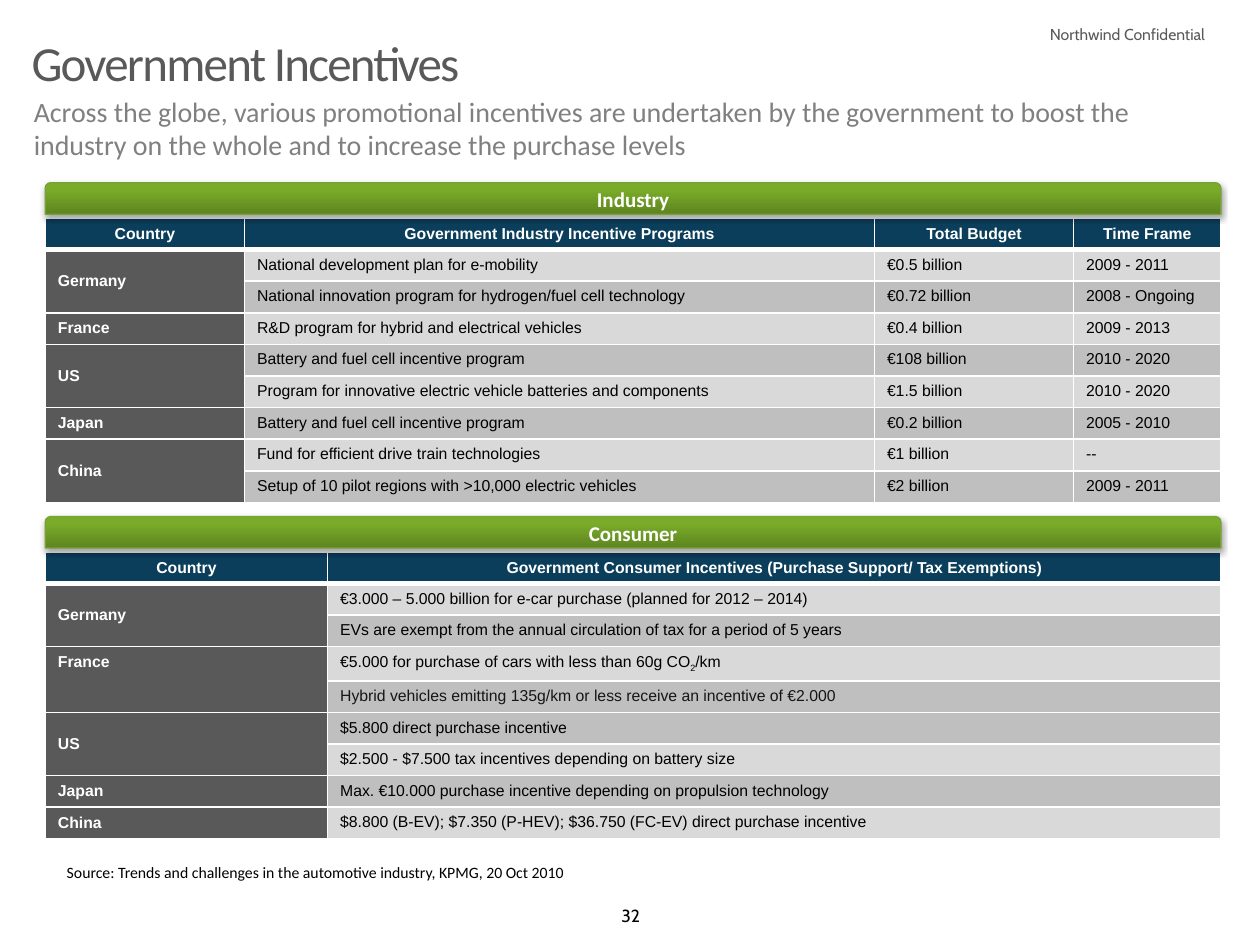
"""Build the slide on government incentives for electric vehicles."""
from dataclasses import dataclass
from typing import Optional

from pptx import Presentation
from pptx.dml.color import RGBColor
from pptx.enum.shapes import MSO_SHAPE
from pptx.enum.text import MSO_ANCHOR, PP_ALIGN
from pptx.oxml import parse_xml
from pptx.oxml.ns import nsdecls, qn
from pptx.util import Inches, Pt

WHITE, BLACK = "FFFFFF", "000000"
NAVY, CHARCOAL = "0B3E5B", "595959"
LIGHT, DARK = "D9D9D9", "BFBFBF"
GREEN_STOPS = ((0, "5E8520"), (80, "7AAC29"), (100, "7BAF27"))
DARK_FIRST = {"US", "Japan"}
TOP_LABELS = {"France", "Japan"}
HYBRID = "Hybrid vehicles emitting 135g/km or less receive an incentive of €2.000"
TEXT_COLORS = {HYBRID: "161616"}
LEFT, WIDTH, ROW_HEIGHT = 0.36, 9.33, 0.25


@dataclass
class Country:
    name: str
    programs: list[tuple[str, ...]]


@dataclass
class Section:
    title: str
    top: float
    widths: tuple[float, ...]
    headings: tuple[str, ...]
    countries: list[Country]


SECTIONS = [
    Section(
        "Industry", 1.45, (1.58, 5, 1.58, 1.17),
        ("Country", "Government Industry Incentive Programs", "Total Budget", "Time Frame"),
        [
            Country("Germany", [
                ("National development plan for e-mobility", "€0.5 billion", "2009 - 2011"),
                ("National innovation program for hydrogen/fuel cell technology",
                 "€0.72 billion", "2008 - Ongoing"),
            ]),
            Country("France", [
                ("R&D program for hybrid and electrical vehicles", "€0.4 billion", "2009 - 2013"),
            ]),
            Country("US", [
                ("Battery and fuel cell incentive program", "€108 billion", "2010 - 2020"),
                ("Program for innovative electric vehicle batteries and components",
                 "€1.5 billion", "2010 - 2020"),
            ]),
            Country("Japan", [
                ("Battery and fuel cell incentive program", "€0.2 billion", "2005 - 2010"),
            ]),
            Country("China", [
                ("Fund for efficient drive train technologies", "€1 billion", "--"),
                ("Setup of 10 pilot regions with >10,000 electric vehicles",
                 "€2 billion", "2009 - 2011"),
            ]),
        ],
    ),
    Section(
        "Consumer", 4.1, (2.24, 7.09),
        ("Country", "Government Consumer Incentives (Purchase Support/ Tax Exemptions)"),
        [
            Country("Germany", [
                ("€3.000 – 5.000 billion for e-car purchase (planned for 2012 – 2014)",),
                ("EVs are exempt from the annual circulation of tax for a period of 5 years",),
            ]),
            Country("France", [
                ("€5.000 for purchase of cars with less than 60g CO_2_/km",),
                (HYBRID,),
            ]),
            Country("US", [
                ("$5.800 direct purchase incentive",),
                ("$2.500 - $7.500 tax incentives depending on battery size",),
            ]),
            Country("Japan", [
                ("Max. €10.000 purchase incentive depending on propulsion technology",),
            ]),
            Country("China", [
                ("$8.800 (B-EV); $7.350 (P-HEV); $36.750 (FC-EV) direct purchase incentive",),
            ]),
        ],
    ),
]


def rgb(value: str) -> RGBColor:
    """Turn a hex string into a colour."""
    return RGBColor.from_string(value)


def write(frame, text: str, *, size: float = 9, font: str = "Calibri", color: str = BLACK,
          bold: bool = False, align: PP_ALIGN = PP_ALIGN.LEFT,
          line_spacing: Optional[float] = None, tracking: Optional[int] = None) -> None:
    """Write one paragraph, setting any part between underscores as a subscript."""
    para = frame.paragraphs[0]
    para.alignment = align
    if line_spacing:
        para.line_spacing = line_spacing
    for index, part in enumerate(text.split("_")):
        span = para.add_run()
        span.text = part
        span.font.size, span.font.name, span.font.bold = Pt(size), font, bold
        span.font.color.rgb = rgb(color)
        properties = span.font._element
        if index % 2:
            properties.set("baseline", "-25000")
        if tracking is not None:
            properties.set("spc", str(tracking))


def remove_margins(frame) -> None:
    """Set all four insets of a text frame to zero."""
    frame.margin_left = frame.margin_right = frame.margin_top = frame.margin_bottom = 0


def add_text(page, left: float, top: float, width: float, height: float, text: str,
             **text_format):
    """Add a wrapped text box and return its text frame."""
    box = page.shapes.add_textbox(Inches(left), Inches(top), Inches(width), Inches(height))
    box.text_frame.word_wrap = True
    write(box.text_frame, text, **text_format)
    return box.text_frame


def add_banner(page, title: str, top: float) -> None:
    """Add a green gradient banner with a soft shadow."""
    banner = page.shapes.add_shape(MSO_SHAPE.ROUND_2_SAME_RECTANGLE, Inches(LEFT), Inches(top),
                                   Inches(WIDTH), Inches(0.25))
    banner.fill.gradient()
    banner.fill.gradient_angle = 90
    properties = banner._element.spPr
    stops = properties.find(qn("a:gradFill")).find(qn("a:gsLst"))
    for stop in list(stops):
        stops.remove(stop)
    for position, color in GREEN_STOPS:
        stops.append(parse_xml(f'<a:gs {nsdecls("a")} pos="{position * 1000}">'
                               f'<a:srgbClr val="{color}"/></a:gs>'))
    banner.line.color.rgb, banner.line.width = rgb("78A136"), Pt(0.75)
    properties.append(parse_xml(
        f'<a:effectLst {nsdecls("a")}><a:outerShdw blurRad="40000" dist="23000" dir="5400000" '
        'rotWithShape="0"><a:srgbClr val="000000"><a:alpha val="35000"/></a:srgbClr>'
        '</a:outerShdw></a:effectLst>'))
    banner.text_frame.vertical_anchor = MSO_ANCHOR.MIDDLE
    write(banner.text_frame, title, size=12, color=WHITE, bold=True, align=PP_ALIGN.CENTER)


def fill_cell(cell, text: str, fill: str, *, bottom: int = 1,
              anchor: MSO_ANCHOR = MSO_ANCHOR.TOP, **text_format) -> None:
    """Give a cell white borders, a fill and its text."""
    properties = cell._tc.get_or_add_tcPr()
    for side, points in (("L", 1), ("R", 1), ("T", 1), ("B", bottom)):
        properties.append(parse_xml(
            f'<a:ln{side} {nsdecls("a")} w="{Pt(points)}"><a:solidFill>'
            f'<a:srgbClr val="{WHITE}"/></a:solidFill></a:ln{side}>'))
    cell.fill.solid()
    cell.fill.fore_color.rgb = rgb(fill)
    cell.vertical_anchor = anchor
    write(cell.text_frame, text, font="Arial", **text_format)


def add_section(page, section: Section) -> None:
    """Add a banner and the incentive table below it."""
    row_count = 1 + sum(len(country.programs) for country in section.countries)
    table = page.shapes.add_table(row_count, len(section.widths), Inches(LEFT),
                                  Inches(section.top + 0.28), Inches(WIDTH),
                                  Inches(row_count * ROW_HEIGHT)).table
    table.first_row = table.horz_banding = False
    for column, width in zip(table.columns, section.widths):
        column.width = Inches(width)
    for column, heading in enumerate(section.headings):
        fill_cell(table.cell(0, column), heading, NAVY, bottom=3, anchor=MSO_ANCHOR.MIDDLE,
                  color=WHITE, bold=True, align=PP_ALIGN.CENTER)
    row = 1
    for country in section.countries:
        first_row = row
        anchor = MSO_ANCHOR.TOP if country.name in TOP_LABELS else MSO_ANCHOR.MIDDLE
        for index, program in enumerate(country.programs):
            fill_cell(table.cell(row, 0), "" if index else country.name, CHARCOAL,
                      anchor=anchor, color=WHITE, bold=True)
            shade = DARK if (index % 2 == 1) != (country.name in DARK_FIRST) else LIGHT
            for column, text in enumerate(program, start=1):
                fill_cell(table.cell(row, column), text, shade,
                          color=TEXT_COLORS.get(text, BLACK))
            row += 1
        if row - first_row > 1:
            table.cell(first_row, 0).merge(table.cell(row - 1, 0))
    add_banner(page, section.title, section.top)


def main() -> None:
    """Build and save the deck."""
    deck = Presentation()
    deck.slide_width, deck.slide_height = Inches(10), Inches(7.5)
    page = deck.slides.add_slide(deck.slide_layouts[5])
    title = page.shapes.title
    title.left, title.top, title.width, title.height = map(Inches, (0.25, 0.31, 9.5, 0.33))
    title.text_frame.vertical_anchor = MSO_ANCHOR.TOP
    remove_margins(title.text_frame)
    write(title.text_frame, "Government Incentives", size=28, color=CHARCOAL,
          line_spacing=0.9, tracking=-100)
    add_text(page, 0.17, 0.7, 9.5, 0.64,
             "Across the globe, various promotional incentives are undertaken by the government "
             "to boost the industry on the whole and to increase the purchase levels",
             size=16, color="808080")
    add_text(page, 8.02, 0.15, 1.64, 0.25, "Northwind Confidential", font="Cabin",
             color=CHARCOAL, align=PP_ALIGN.RIGHT)
    for section in SECTIONS:
        add_section(page, section)
    source = add_text(page, 0.53, 6.86, 9.3, 0.14,
                      "Source: Trends and challenges in the automotive industry, KPMG, 20 Oct 2010",
                      line_spacing=0.9)
    remove_margins(source)
    source.vertical_anchor = MSO_ANCHOR.BOTTOM
    add_text(page, 4.75, 7.13, 0.51, 0.27, "32", size=10, font="Cabin", align=PP_ALIGN.CENTER)
    deck.save("out.pptx")


if __name__ == "__main__":
    main()
